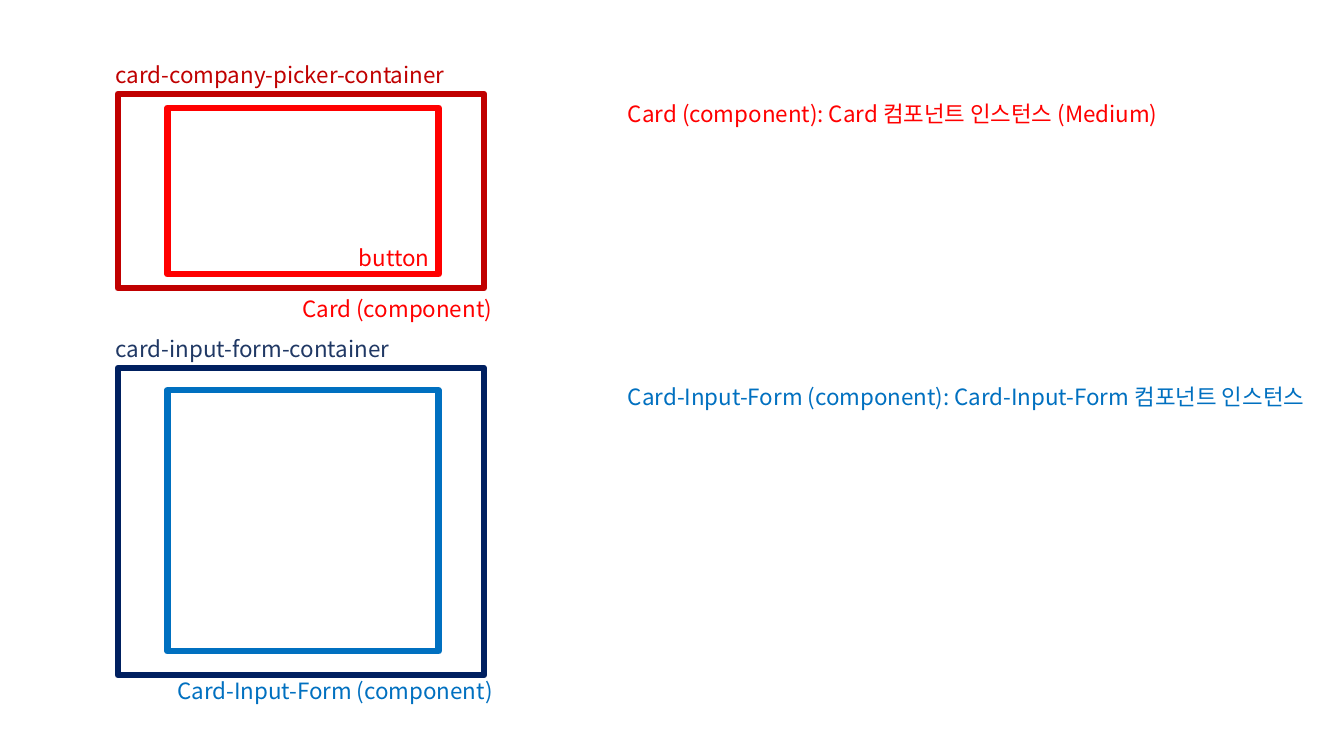
import pptx
import pptx.util
import pptx.dml.color
import pptx.enum.shapes
import pptx.enum.text
import pptx.oxml.ns
from dataclasses import dataclass
from lxml import etree
from pptx.util import Inches


@dataclass(frozen=True)
class Theme:
    font: str = "Noto Sans CJK KR"
    size: int = 16
    border: float = 4.5
    dark_red: str = "C00000"
    red: str = "FF0000"
    navy: str = "002060"
    slate: str = "203864"
    blue: str = "0070C0"


THEME = Theme()


def rgb(color):
    return pptx.dml.color.RGBColor.from_string(color)


def add_frame(s, x, y, w, h, color):
    """Add an unfilled rectangle with a thick border."""
    sp = s.shapes.add_shape(pptx.enum.shapes.MSO_SHAPE.RECTANGLE,
                            Inches(x), Inches(y), Inches(w), Inches(h))
    sp.shadow.inherit = False
    sp.fill.background()
    sp.line.color.rgb = rgb(color)
    sp.line.width = pptx.util.Pt(THEME.border)


def add_text(s, text, x, y, w, h=0.37, color=THEME.red, size=THEME.size):
    """Add a wrapping text box that grows with its text."""
    sp = s.shapes.add_textbox(Inches(x), Inches(y), Inches(w), Inches(h))
    tf = sp.text_frame
    tf.word_wrap = True
    tf.auto_size = pptx.enum.text.MSO_AUTO_SIZE.SHAPE_TO_FIT_TEXT
    r = tf.paragraphs[0].add_run()
    r.text = text
    r.font.size = pptx.util.Pt(size)
    r.font.color.rgb = rgb(color)
    r.font.name = THEME.font
    # Korean letters take their font from the East Asian slot
    ea = etree.SubElement(r.font._element, pptx.oxml.ns.qn("a:ea"))
    ea.set("typeface", THEME.font)


def main():
    prs = pptx.Presentation()
    prs.slide_width, prs.slide_height = Inches(13.33), Inches(7.5)
    s = prs.slides.add_slide(prs.slide_layouts[6])

    outer_x, outer_w = 1.17, 3.63
    inner_x, inner_w = 1.66, 2.69
    title_x, title_w = 1.05, 4.04
    note_x = 6.13

    # Company picker card
    add_frame(s, outer_x, 0.93, outer_w, 1.93, THEME.dark_red)
    add_frame(s, inner_x, 1.07, inner_w, 1.65, THEME.red)
    add_text(s, "card-company-picker-container", title_x, 0.56, title_w,
             color=THEME.dark_red)
    add_text(s, "button", 3.46, 2.37, 2.28)
    add_text(s, "Card (component)", 2.9, 2.88, 2.28)
    add_text(s, "Card (component): Card 컴포넌트 인스턴스 (Medium)",
             note_x, 0.94, 5.55)

    # Input form card
    add_frame(s, outer_x, 3.65, outer_w, 3.05, THEME.navy)
    add_frame(s, inner_x, 3.87, inner_w, 2.59, THEME.blue)
    add_text(s, "card-input-form-container", title_x, 3.28, title_w,
             color=THEME.slate)
    add_text(s, "Card-Input-Form (component)", inner_x, 6.67, 4.05,
             color=THEME.blue)
    add_text(s, "Card-Input-Form (component): Card-Input-Form 컴포넌트 인스턴스",
             note_x, 3.75, 7.32, color=THEME.blue)

    prs.save("out.pptx")


if __name__ == "__main__":
    main()
